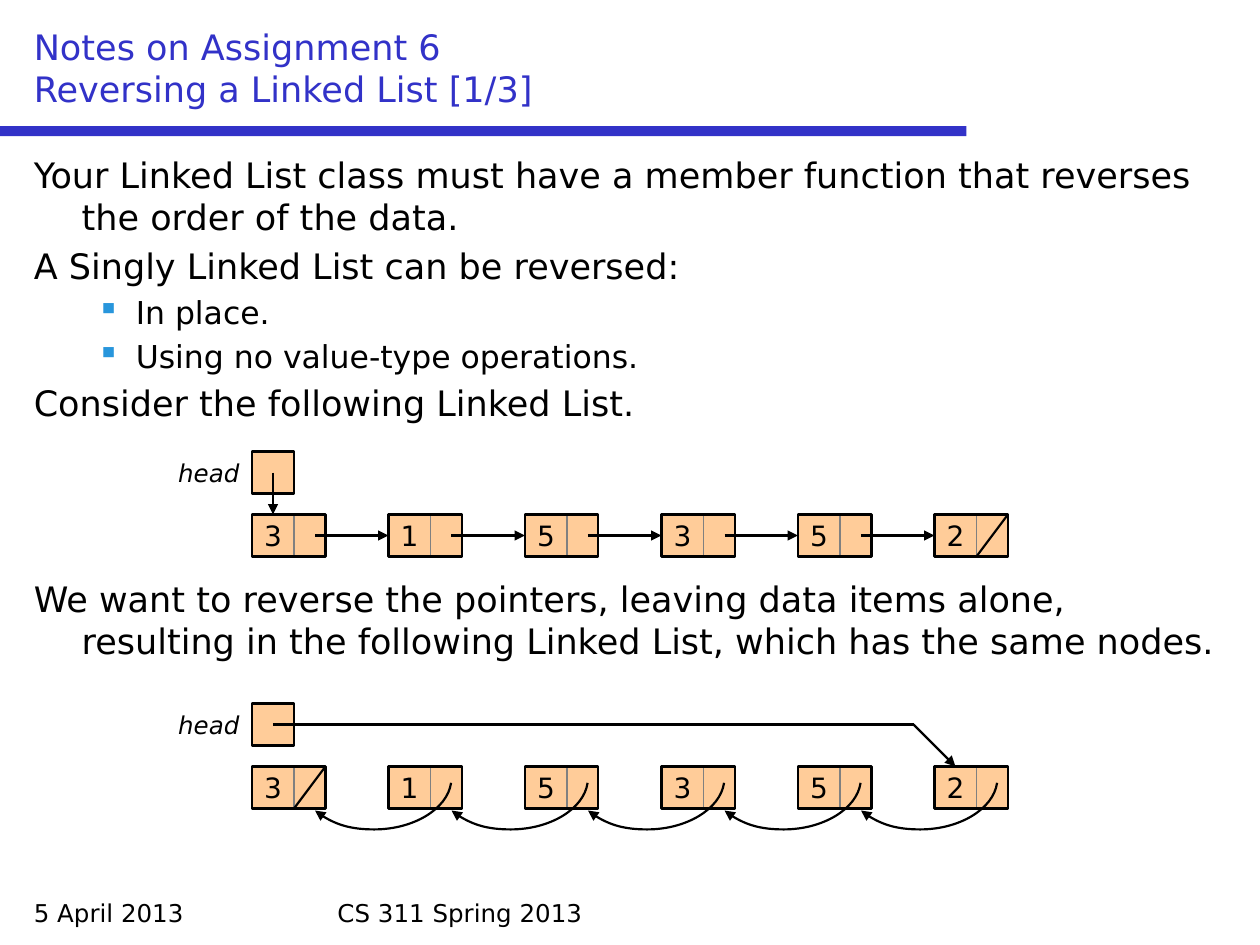
"""Build a slide about reversing a singly linked list."""
from lxml import etree
from pptx import Presentation
from pptx.dml.color import RGBColor
from pptx.enum.shapes import MSO_CONNECTOR, MSO_SHAPE
from pptx.enum.text import MSO_ANCHOR, PP_ALIGN
from pptx.oxml.ns import qn
from pptx.util import Inches, Pt

RECTANGLE = MSO_SHAPE.RECTANGLE
STRAIGHT = MSO_CONNECTOR.STRAIGHT
TOP, MIDDLE, BOTTOM = MSO_ANCHOR.TOP, MSO_ANCHOR.MIDDLE, MSO_ANCHOR.BOTTOM
LEFT, CENTER, RIGHT = PP_ALIGN.LEFT, PP_ALIGN.CENTER, PP_ALIGN.RIGHT

BLACK = RGBColor(0x00, 0x00, 0x00)
BLUE = RGBColor(0x32, 0x32, 0xC8)
GRAY = RGBColor(0x80, 0x80, 0x80)
PEACH = RGBColor(0xFF, 0xCC, 0x99)
BULLET_BLUE = "2896DC"
FONT = "DejaVu Sans"

UNIT = 1 / 12
CELL = 4 * UNIT
POINTER = 3 * UNIT
NODE = CELL + POINTER
PITCH = 13 * UNIT
LIST_LEFT = 2
HEAD_RISE = 0.5
VALUES = ["3", "1", "5", "3", "5", "2"]
CURVE = [(1.08, 0.13), (1.05, 0.34), (0.78, 0.5), (0.47, 0.5),
         (0.29, 0.5), (0.12, 0.45), (0, 0.35)]

BODY = [
    ("Your Linked List class must have a member function that reverses "
     "the order of the data.", False, 4),
    ("A Singly Linked List can be reversed:", False, 4),
    ("In place.", True, 3.6),
    ("Using no value-type operations.", True, 3.6),
    ("Consider the following Linked List.", False, 4),
    ("We want to reverse the pointers, leaving data items alone, resulting "
     "in the following Linked List, which has the same nodes.", False, 88),
]


def style(paragraph, size, color=BLACK, align=LEFT, italic=False):
    paragraph.alignment = align
    font = paragraph.font
    font.name, font.size, font.italic = FONT, Pt(size), italic
    font.color.rgb = color


def add_frame(slide, left, top, width, height, anchor=TOP):
    frame = slide.shapes.add_textbox(
        Inches(left), Inches(top), Inches(width), Inches(height)).text_frame
    frame.word_wrap = True
    frame.vertical_anchor = anchor
    return frame


def add_label(slide, text, box, size, color=BLACK, anchor=TOP, align=LEFT, italic=False):
    paragraph = add_frame(slide, *box, anchor).paragraphs[0]
    paragraph.text = text
    style(paragraph, size, color, align, italic)


def add_body(slide):
    frame = add_frame(slide, 0.17, 1.17, 9.67, 5.83)
    for index, (text, bulleted, space) in enumerate(BODY):
        paragraph = frame.add_paragraph() if index else frame.paragraphs[0]
        paragraph.text = text
        paragraph.space_before = Pt(space)
        style(paragraph, 18 if bulleted else 20)
        margin, indent = (0.81, -0.31) if bulleted else (0.38, -0.38)
        props = paragraph._p.get_or_add_pPr()
        props.set("marL", str(Inches(margin)))
        props.set("indent", str(Inches(indent)))
        if bulleted:
            paragraph.level = 1
            tint = etree.Element(qn("a:buClr"))
            etree.SubElement(tint, qn("a:srgbClr"), val=BULLET_BLUE)
            bullet = etree.Element(qn("a:buChar"), char="▪")
            props.find(qn("a:defRPr")).addprevious(tint)
            tint.addnext(bullet)


def add_box(slide, left, top, width, height, fill=None, line=None, weight=1.25, text=""):
    box = slide.shapes.add_shape(
        RECTANGLE, Inches(left), Inches(top), Inches(width), Inches(height))
    box.shadow.inherit = False
    if fill is None:
        box.fill.background()
    else:
        box.fill.solid()
        box.fill.fore_color.rgb = fill
    if line is None:
        box.line.fill.background()
    else:
        box.line.color.rgb = line
        box.line.width = Pt(weight)
    if text:
        frame = box.text_frame
        frame.word_wrap = False
        frame.vertical_anchor = MIDDLE
        frame.text = text
        style(frame.paragraphs[0], 16, align=CENTER)


def draw_stroke(shape, arrow):
    shape.line.color.rgb = BLACK
    shape.line.width = Pt(1.25)
    if arrow:
        outline = shape.element.spPr.find(qn("a:ln"))
        etree.SubElement(outline, qn("a:tailEnd"), type="triangle")


def add_line(slide, x1, y1, x2, y2, arrow=False):
    line = slide.shapes.add_connector(
        STRAIGHT, Inches(x1), Inches(y1), Inches(x2), Inches(y2))
    draw_stroke(line, arrow)
    etree.SubElement(line.element.spPr, qn("a:effectLst"))


def add_curved_arrow(slide, left, top):
    points = [(Inches(left + x), Inches(top + y)) for x, y in CURVE]
    builder = slide.shapes.build_freeform(*points[0])
    builder.add_line_segments(points[1:], close=False)
    curve = builder.convert_to_shape()
    curve.shadow.inherit = False
    curve.fill.background()
    draw_stroke(curve, True)
    segments = list(curve.element.iter(qn("a:lnTo")))
    for start in range(0, len(segments), 3):
        bezier = etree.Element(qn("a:cubicBezTo"))
        segments[start].addprevious(bezier)
        for segment in segments[start:start + 3]:
            bezier.append(segment[0])
            segment.getparent().remove(segment)


def node_left(index):
    return LIST_LEFT + index * PITCH


def add_nodes(slide, top, last):
    for index, value in enumerate(VALUES):
        left = node_left(index)
        add_box(slide, left, top, CELL, CELL, PEACH, GRAY, 0.75, value)
        add_box(slide, left + CELL, top, POINTER, CELL, PEACH, GRAY, 0.75)
        add_box(slide, left, top, NODE, CELL, line=BLACK)
    left = node_left(last)
    add_line(slide, left + CELL, top + CELL, left + NODE, top)
    head_top = top - HEAD_RISE
    add_box(slide, LIST_LEFT, head_top, CELL, CELL, PEACH, BLACK)
    add_label(slide, "head", (1, head_top, 1, 0.34), 14, align=RIGHT, italic=True)


def add_forward_list(slide, top):
    add_nodes(slide, top, len(VALUES) - 1)
    head_x, middle = LIST_LEFT + CELL / 2, top + CELL / 2
    add_line(slide, head_x, middle - HEAD_RISE, head_x, top, True)
    for index in range(len(VALUES) - 1):
        add_line(slide, node_left(index) + 0.5, middle, node_left(index + 1), middle, True)


def add_reversed_list(slide, top):
    add_nodes(slide, top, 0)
    head_y = top + CELL / 2 - HEAD_RISE
    target = node_left(len(VALUES) - 1) + CELL / 2
    bend = target - CELL
    add_line(slide, LIST_LEFT + CELL / 2, head_y, bend, head_y)
    add_line(slide, bend, head_y, target, top, True)
    for index in range(len(VALUES) - 1):
        add_curved_arrow(slide, node_left(index) + 0.5, top)


def main():
    deck = Presentation()
    deck.slide_width, deck.slide_height = Inches(10), Inches(7.5)
    slide = deck.slides.add_slide(deck.slide_layouts[6])
    add_box(slide, 0, 1, 7.67, 0.08, BLUE)
    add_label(slide, "5 April 2013", (0.17, 7.08, 2.33, 0.33), 14)
    add_label(slide, "CS 311 Spring 2013", (2.58, 7.08, 4.83, 0.33), 14)
    add_label(slide, "Notes on Assignment 6\vReversing a Linked List [1/3]",
              (0.17, 0.17, 9.67, 0.75), 20, BLUE, BOTTOM)
    add_body(slide)
    add_forward_list(slide, 49 * UNIT)
    add_reversed_list(slide, 73 * UNIT)
    deck.save("out.pptx")


main()
